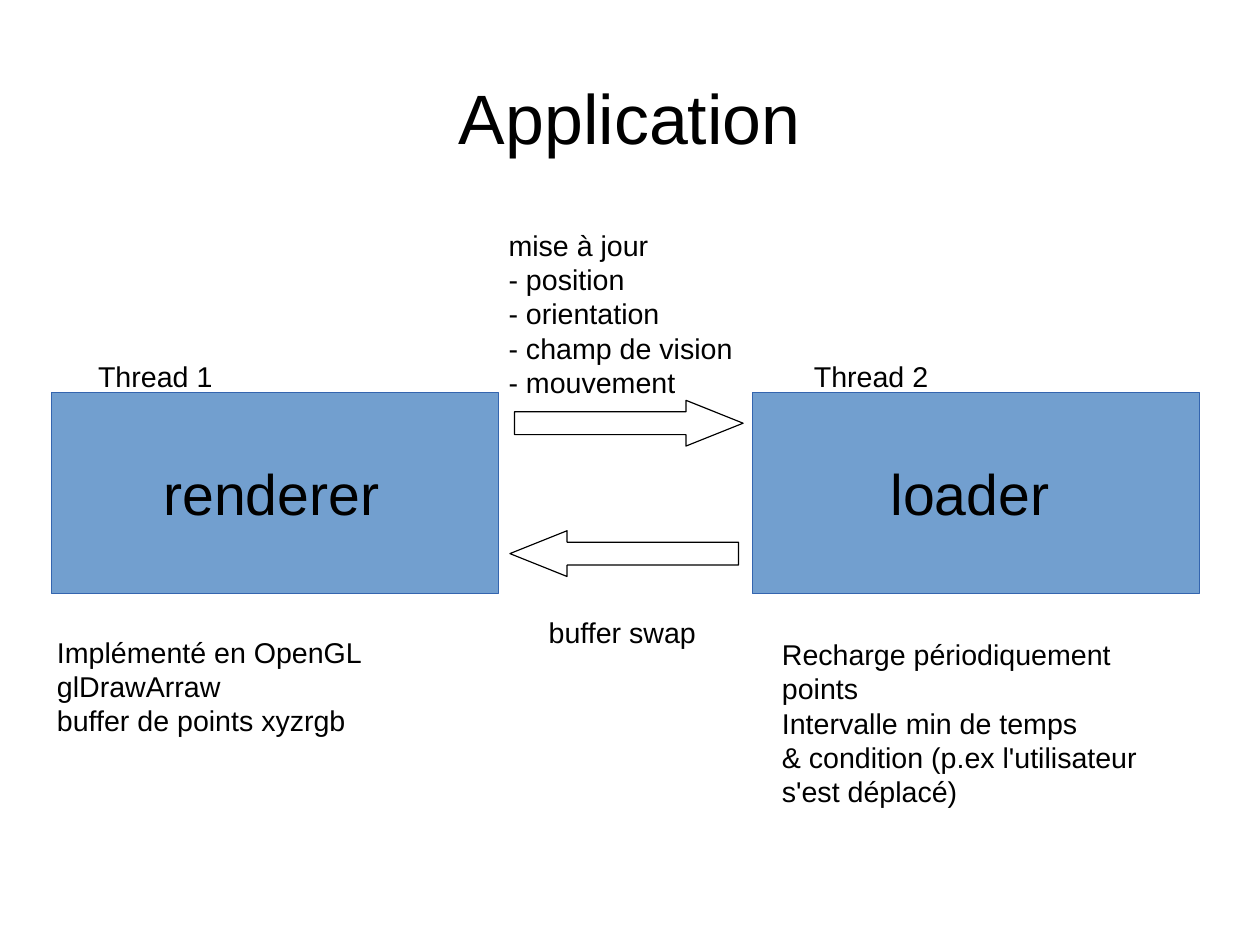
from pptx import Presentation
from pptx import util as u
from pptx.dml.color import RGBColor
from pptx.enum import shapes, text

CELL = 0.5  # inches per grid column and row


def grid(cells):
    return u.Inches(cells * CELL)


def color(hex_value):
    return RGBColor.from_string(hex_value)


class Board:
    font = "Arial"
    ink = "000000"
    body_size = 18

    def __init__(self, slide):
        self.slide = slide

    def block(self, kind, col, row, cols, rows, fill, line):
        block = self.slide.shapes.add_shape(kind, *map(grid, (col, row, cols, rows)))
        block.shadow.inherit = False
        block.fill.solid()
        block.fill.fore_color.rgb = color(fill)
        block.line.color.rgb = color(line)
        block.line.width = u.Pt(0)
        return block

    def arrow(self, kind, col, row):
        arrow = self.block(kind, col, row, 4, 0.8, "FFFFFF", self.ink)
        arrow.adjustments[0] = 0.5
        arrow.adjustments[1] = 1.25

    def label(self, lines, col, row, cols, rows, size=body_size):
        box = self.slide.shapes.add_textbox(*map(grid, (col, row, cols, rows)))
        frame = box.text_frame
        frame.word_wrap = False
        frame.auto_size = text.MSO_AUTO_SIZE.SHAPE_TO_FIT_TEXT
        frame.text = "\n".join(lines)
        for paragraph in frame.paragraphs:
            paragraph.font.name = self.font
            paragraph.font.size = u.Pt(size)
            paragraph.font.color.rgb = color(self.ink)
        return frame

    def title(self, words, col, row, cols, rows):
        frame = self.label([words], col, row, cols, rows, size=44)
        frame.word_wrap = True
        frame.auto_size = text.MSO_AUTO_SIZE.NONE
        frame.vertical_anchor = text.MSO_ANCHOR.MIDDLE
        frame.margin_left = frame.margin_right = 0
        frame.margin_top = frame.margin_bottom = 0
        frame.paragraphs[0].alignment = text.PP_ALIGN.CENTER


def main():
    deck = Presentation()
    deck.slide_width, deck.slide_height = u.Inches(11.02), u.Inches(8.27)
    board = Board(deck.slides.add_slide(deck.slide_layouts[6]))

    board.title("Application", 1.1, 0.66, 19.84, 2.76)

    # The two threads: box column, name, name column and width, heading column
    threads = [
        (0.9, "renderer", 2.66, 4.18, "Thread 1", 1.52),
        (13.16, "loader", 15.38, 3.18, "Thread 2", 14.04),
    ]
    for box_col, name, name_col, name_cols, heading, heading_col in threads:
        board.block(shapes.MSO_SHAPE.RECTANGLE, box_col, 6.86, 7.82, 3.52,
                    "729FCF", "3465AF")
        board.label([name], name_col, 7.92, name_cols, 1.32, size=36)
        board.label([heading], heading_col, 6.18, 2.4, 0.76)

    # Exchanges between the threads
    board.arrow(shapes.MSO_SHAPE.RIGHT_ARROW, 9, 7)
    board.label(["mise à jour", "- position", "- orientation",
                 "- champ de vision", "- mouvement"], 8.7, 3.88, 4.32, 3)
    board.arrow(shapes.MSO_SHAPE.LEFT_ARROW, 8.92, 9.28)
    board.label(["buffer swap"], 9.4, 10.66, 2.98, 0.76)

    # Notes under each thread
    board.label(["Implémenté en OpenGL", "glDrawArraw",
                 "buffer de points xyzrgb"], 0.8, 11, 5.74, 1.88)
    board.label(["Recharge périodiquement points", "Intervalle min de temps",
                 "& condition (p.ex l'utilisateur", "s'est déplacé)"],
                13.48, 11.04, 7.62, 2.44)

    deck.save("out.pptx")


if __name__ == "__main__":
    main()
